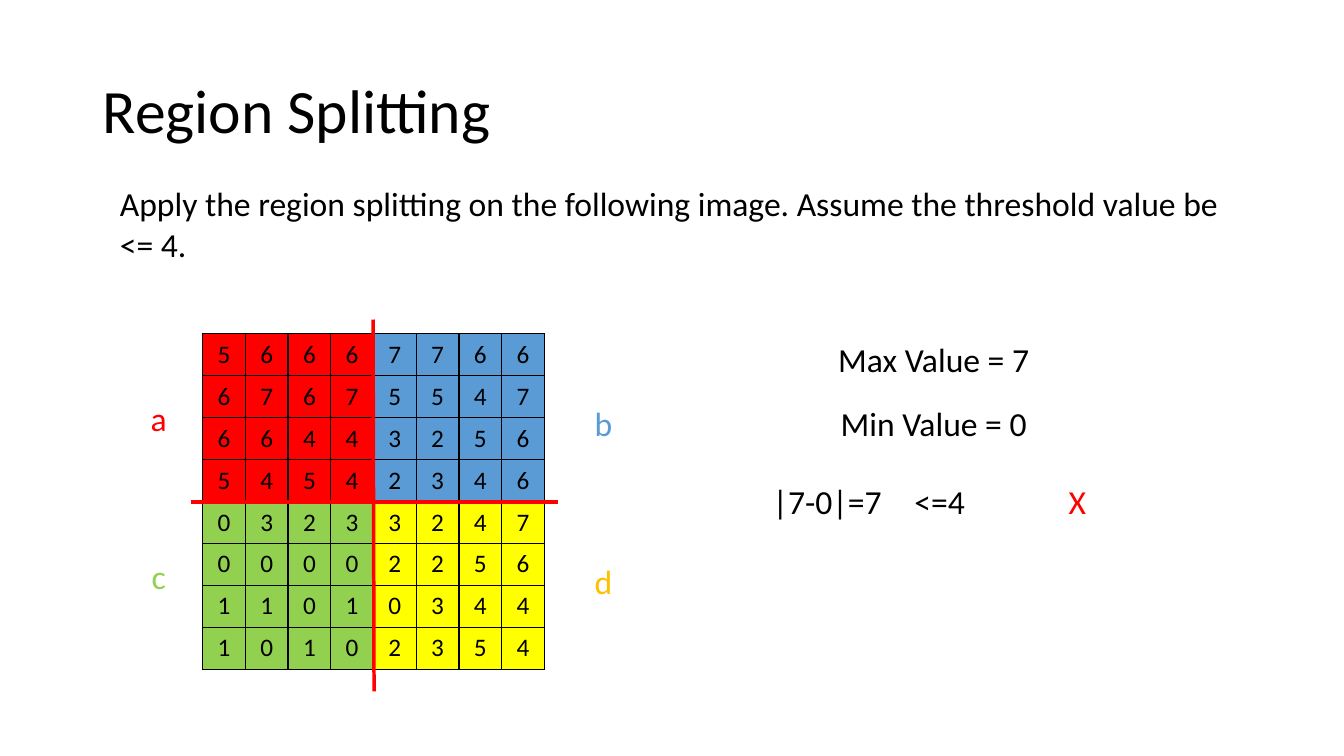
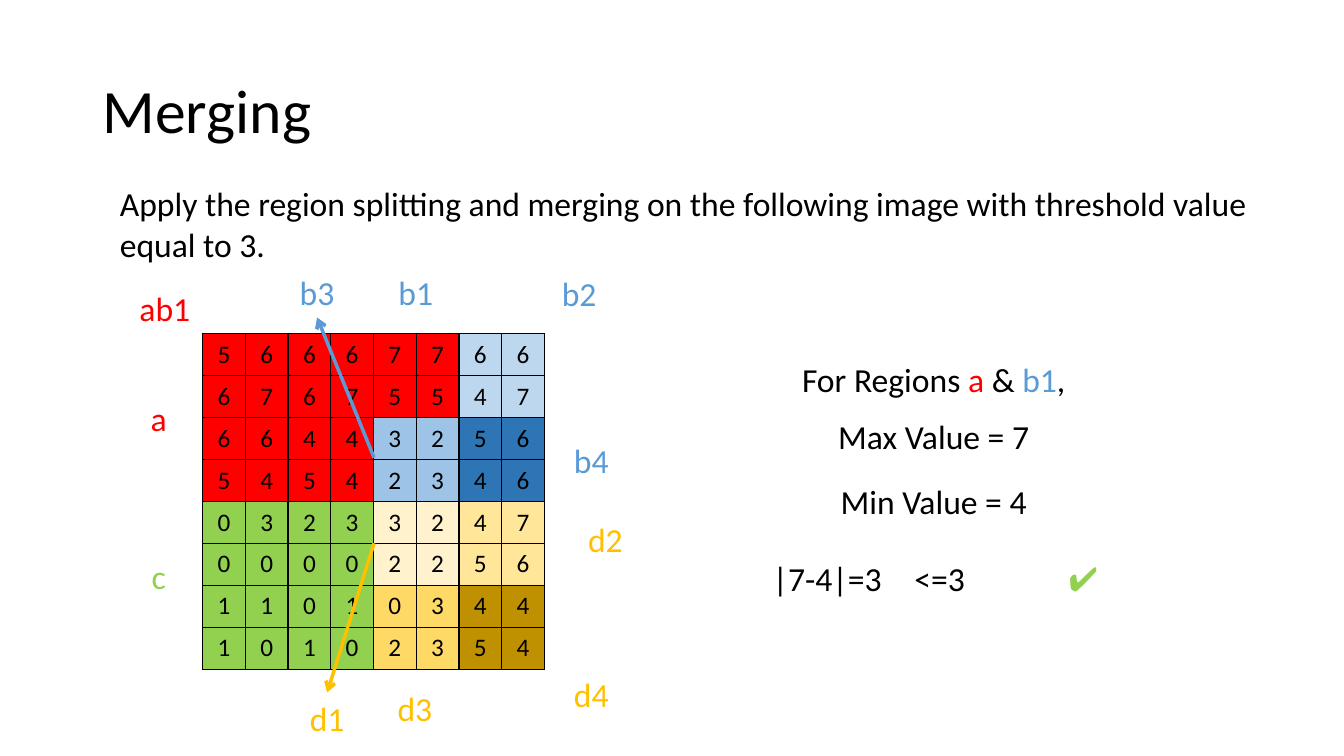
"""Build two slides on region splitting and merging of an 8 by 8 image."""
from lxml import etree
from pptx import Presentation
from pptx import util as u
from pptx.dml.color import RGBColor
from pptx.enum import shapes, text
from pptx.oxml import ns

PX = 9144
THEME = {
    "font": "Calibri",
    "title": 44, "body": 24, "pixel": 18,
    "line": 2.5, "border": 1,
    "ink": "000000",
    "a": "FF0000", "b": "5B9BD5", "c": "92D050", "d": "FFC000",
    "d_fill": "FFFF00",
    "b2": "BDD7EE", "b3": "9DC3E6", "b4": "2E75B6",
    "d1": "FFF2CC", "d2": "FFE699", "d3": "FFD966", "d4": "BF9000",
}
CENTER, LEFT = text.PP_ALIGN.CENTER, text.PP_ALIGN.LEFT
LABEL_W, LABEL_H = 63, 50
PIXELS = ["56667766", "67675547", "66443256", "54542346",
          "03233247", "00002256", "11010344", "10102354"]

SLIDES = [
    {
        "title": "Region Splitting",
        "task": "Apply the region splitting on the following image. "
                "Assume the threshold value be <= 4.",
        "blocks": ["a a b b", "a a b b", "c c d_fill d_fill", "c c d_fill d_fill"],
        "labels": [("a", 126, 390, LABEL_W, "a"), ("b", 567, 395, LABEL_W, "b"),
                   ("c", 126, 547, LABEL_W, "c"), ("d", 567, 552, LABEL_W, "d")],
        "splits": [(370, 317, 371, 686), (189, 498, 553, 498)],
        "arrows": [],
        "heading": [],
        "test_top": 331,
        "test": ("Max Value = 7", "Min Value = 0", "|7-0|=7", "<=4", "X", "a"),
    },
    {
        "title": "Merging",
        "task": "Apply the region splitting and merging on the following image "
                "with threshold value equal to 3.",
        "blocks": ["a a a b2", "a a b3 b4", "c c d1 d2", "c c d3 d4"],
        "labels": [("a", 126, 390, LABEL_W, "a"), ("c", 126, 547, LABEL_W, "c"),
                   ("d1", 293, 687, LABEL_W, "d"), ("d2", 569, 510, LABEL_W, "d"),
                   ("d3", 380, 678, LABEL_W, "d"), ("d4", 555, 664, LABEL_W, "d"),
                   ("b1", 381, 265, LABEL_W, "b"), ("b2", 543, 266, LABEL_W, "b"),
                   ("b4", 555, 432, LABEL_W, "b"), ("b3", 283, 265, LABEL_W, "b"),
                   ("ab1", 126, 281, 75, "a")],
        "splits": [],
        "arrows": [("d1", 0, 371, 539, "d"), ("b3", 2, 371, 454, "b")],
        "heading": [("For Regions ", "ink"), ("a", "a"), (" & ", "ink"),
                    ("b1", "b"), (",", "ink")],
        "test_top": 408,
        "test": ("Max Value = 7", "Min Value = 4", "|7-4|=3", "<=3", "✔", "c"),
    },
]


def add_text(slide, box, runs, align=LEFT, size="body", **frame_format):
    """Add a text box with coloured runs."""
    holder = slide.shapes.add_textbox(*(v * PX for v in box))
    frame = holder.text_frame
    for key, value in {"word_wrap": True, **frame_format}.items():
        setattr(frame, key, value)
    paragraph = frame.paragraphs[0]
    paragraph.alignment = align
    for words, colour in runs:
        run = paragraph.add_run()
        run.text = words
        for key, value in {"name": THEME["font"], "size": u.Pt(THEME[size])}.items():
            setattr(run.font, key, value)
        run.font.color.rgb = RGBColor.from_string(THEME[colour])
    return holder


def add_line(slide, ends, colour):
    """Add a straight line without shadow."""
    line = slide.shapes.add_connector(shapes.MSO_CONNECTOR.STRAIGHT, *(v * PX for v in ends))
    line.line.width = u.Pt(THEME["line"])
    line.line.color.rgb = RGBColor.from_string(THEME[colour])
    etree.SubElement(line._element.spPr, ns.qn("a:effectLst"))
    return line


deck = Presentation()
deck.slide_width, deck.slide_height = 1333 * PX, 750 * PX

for content in SLIDES:
    slide = deck.slides.add_slide(deck.slide_layouts[6])
    title = add_text(slide, (92, 40, 1150, 145), [(content["title"], "ink")], size="title",
                     vertical_anchor=text.MSO_ANCHOR.MIDDLE)
    title.text_frame.paragraphs[0].line_spacing = 0.9

    image = slide.shapes.add_table(8, 8, 201 * PX, 331 * PX, 339 * PX, 333 * PX).table
    image.first_row = image.horz_banding = False
    for row, digits in enumerate(PIXELS):
        for column, digit in enumerate(digits):
            pixel = image.cell(row, column)
            pixel.text = digit
            pixel.vertical_anchor = text.MSO_ANCHOR.MIDDLE
            paragraph = pixel.text_frame.paragraphs[0]
            paragraph.alignment = CENTER
            font = paragraph.runs[0].font
            font.name, font.size = THEME["font"], u.Pt(THEME["pixel"])
            font.color.rgb = RGBColor.from_string(THEME["ink"])
            properties = pixel._tc.get_or_add_tcPr()
            for side in ("lnL", "lnR", "lnT", "lnB"):
                border = etree.SubElement(properties, ns.qn(f"a:{side}"),
                                          w=str(u.Pt(THEME["border"])))
                paint = etree.SubElement(border, ns.qn("a:solidFill"))
                etree.SubElement(paint, ns.qn("a:srgbClr"), val=THEME["ink"])
            region = content["blocks"][row // 2].split()[column // 2]
            pixel.fill.solid()
            pixel.fill.fore_color.rgb = RGBColor.from_string(THEME[region])

    add_text(slide, (109, 177, 1138, 91), [(content["task"], "ink")])

    labels = {}
    for name, left, top, width, colour in content["labels"]:
        labels[name] = add_text(slide, (left, top, width, LABEL_H), [(name, colour)], CENTER)

    for ends in content["splits"]:
        add_line(slide, ends, "a")
    for name, side, left, top, colour in content["arrows"]:
        arrow = add_line(slide, (left, top, left, top), colour)
        arrow.end_connect(labels[name], side)
        etree.SubElement(arrow.line._get_or_add_ln(), ns.qn("a:tailEnd"), type="arrow")

    if content["heading"]:
        add_text(slide, (785, 351, 282, LABEL_H), content["heading"], CENTER)
    highest, lowest, difference, limit, verdict, verdict_colour = content["test"]
    for words, left, drop, width, align, colour in [
        (highest, 802, 0, 248, CENTER, "ink"),
        (lowest, 802, 64, 248, CENTER, "ink"),
        (difference, 744, 141, 153, CENTER, "ink"),
        (limit, 897, 141, 153, LEFT, "ink"),
        (verdict, 1050, 141, 56, LEFT, verdict_colour),
    ]:
        add_text(slide, (left, content["test_top"] + drop, width, LABEL_H),
                 [(words, colour)], align)

deck.save("out.pptx")
